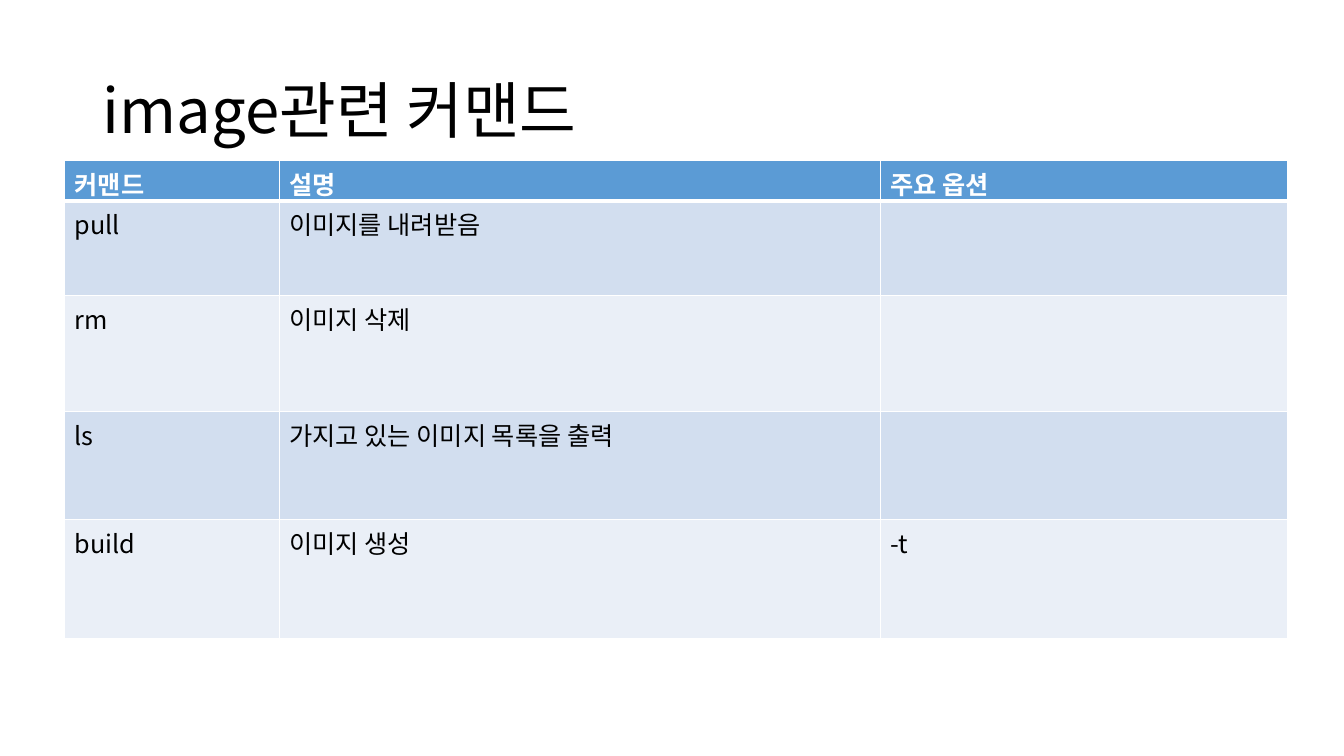
from dataclasses import dataclass

from lxml import etree
from pptx import Presentation
from pptx import util as u
from pptx.dml.color import RGBColor
from pptx.enum import text
from pptx.oxml import ns

TITLE = "image관련 커맨드"
COMMANDS = [
    ("커맨드", "설명", "주요 옵션"),
    ("pull", "이미지를 내려받음", ""),
    ("rm", "이미지 삭제", ""),
    ("ls", "가지고 있는 이미지 목록을 출력", ""),
    ("build", "이미지 생성", "-t"),
]

SLIDE_SIZE = (13.33, 7.5)
TITLE_BOX = (0.92, 0.4, 11.5, 1.45)
TABLE_ORIGIN = (0.64, 1.59)
COLUMNS = (2.13, 5.96, 4.04)
ROWS = (0.36, 0.94, 1.15, 1.07, 1.19)


@dataclass(frozen=True)
class Theme:
    font: str = "Noto Sans CJK KR"
    title_size: int = 44
    table_size: int = 18
    ink: str = "000000"
    header_ink: str = "FFFFFF"
    header_fill: str = "5B9BD5"
    bands: tuple = ("D2DEEF", "EAEFF7")
    border: str = "FFFFFF"
    thin: int = 1
    thick: int = 3


THEME = Theme()


def inches(lengths):
    return [u.Inches(length) for length in lengths]


def style_text(para, size, color, bold=False):
    for span in para.runs:
        font = span.font
        font.name, font.size, font.bold = THEME.font, u.Pt(size), bold
        font.color.rgb = RGBColor.from_string(color)
        east_asian = etree.Element(ns.qn("a:ea"), typeface=THEME.font)
        font._element.find(ns.qn("a:latin")).addnext(east_asian)


def set_borders(cell, widths):
    """Draw the left, right, top and bottom borders, widths in points."""
    properties = cell._tc.get_or_add_tcPr()
    for index, (side, width) in enumerate(zip("LRTB", widths)):
        line = etree.Element(ns.qn(f"a:ln{side}"), w=str(u.Pt(width)))
        fill = etree.SubElement(line, ns.qn("a:solidFill"))
        etree.SubElement(fill, ns.qn("a:srgbClr"), val=THEME.border)
        properties.insert(index, line)


def add_title(page):
    box = page.shapes.add_textbox(*inches(TITLE_BOX))
    frame = box.text_frame
    frame.word_wrap = True
    frame.vertical_anchor = text.MSO_ANCHOR.MIDDLE
    frame.text = TITLE
    para = frame.paragraphs[0]
    para.line_spacing = 0.9
    style_text(para, THEME.title_size, THEME.ink)


def add_command_table(page):
    size = (sum(COLUMNS), sum(ROWS))
    table = page.shapes.add_table(
        len(ROWS), len(COLUMNS), *inches(TABLE_ORIGIN + size)).table
    for column, width in zip(table.columns, inches(COLUMNS)):
        column.width = width
    for row, height in zip(table.rows, inches(ROWS)):
        row.height = height

    for r, values in enumerate(COMMANDS):
        header = r == 0
        color = THEME.header_ink if header else THEME.ink
        background = THEME.header_fill if header else THEME.bands[(r - 1) % 2]
        top = THEME.thick if r == 1 else THEME.thin
        bottom = THEME.thick if header else THEME.thin
        for c, value in enumerate(values):
            cell = table.cell(r, c)
            cell.text_frame.text = value
            style_text(cell.text_frame.paragraphs[0], THEME.table_size, color, header)
            cell.fill.solid()
            cell.fill.fore_color.rgb = RGBColor.from_string(background)
            set_borders(cell, (THEME.thin, THEME.thin, top, bottom))


def main():
    deck = Presentation()
    deck.slide_width, deck.slide_height = inches(SLIDE_SIZE)
    page = deck.slides.add_slide(deck.slide_layouts[6])
    add_title(page)
    add_command_table(page)
    deck.save("out.pptx")


if __name__ == "__main__":
    main()
